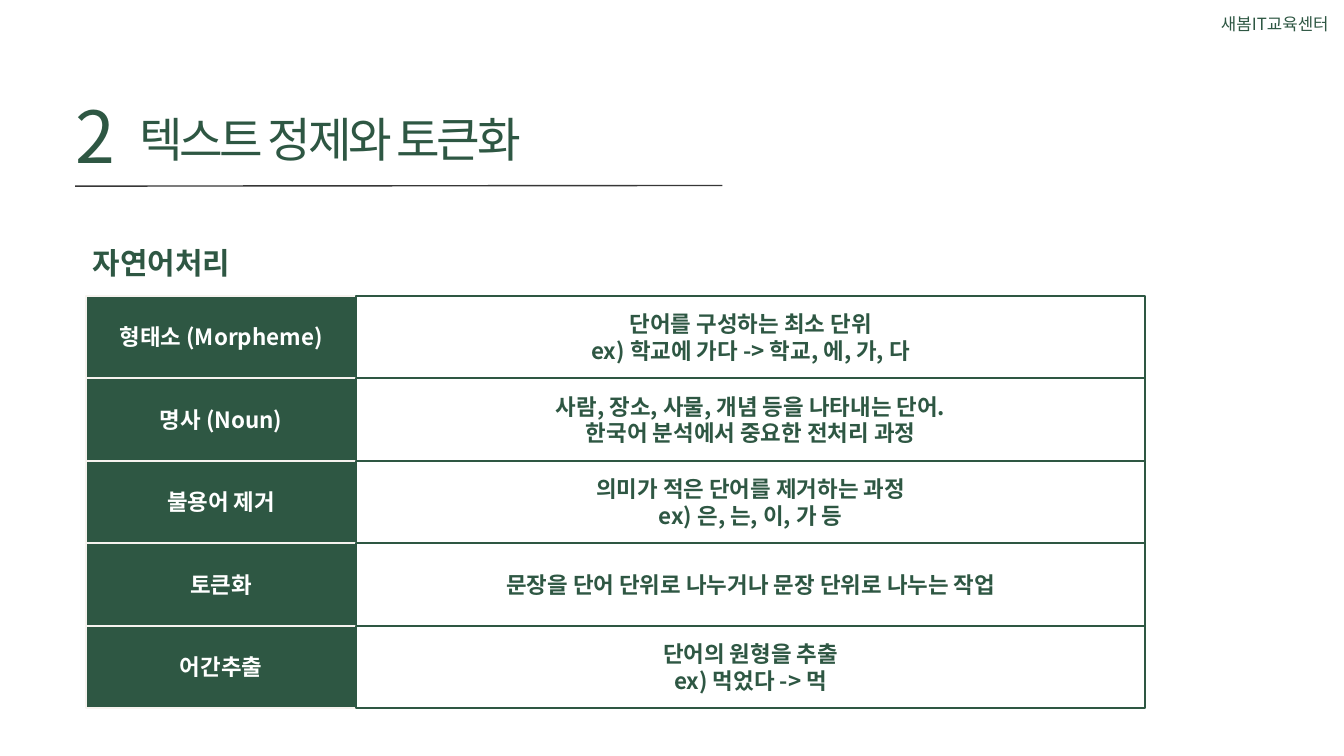
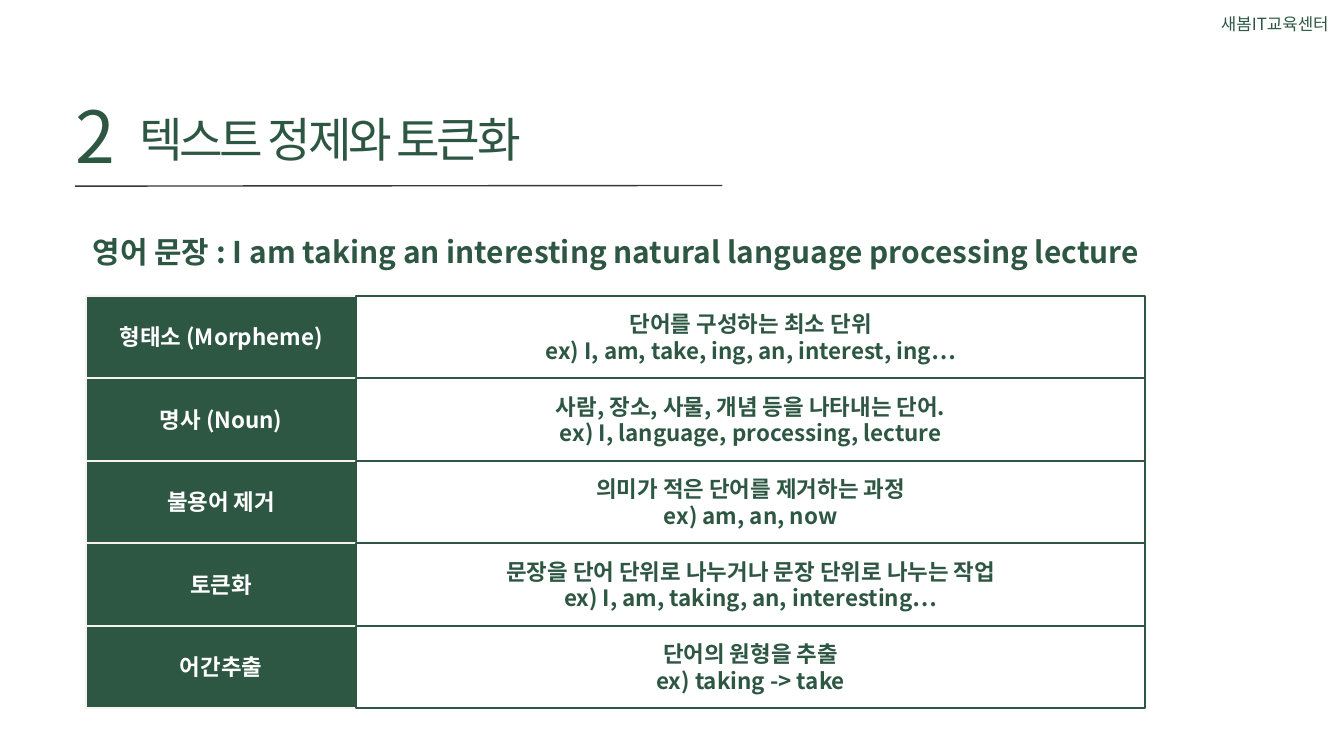
import pptx
import pptx.dml.color
import pptx.enum.shapes
import pptx.enum.text
import pptx.oxml
import pptx.oxml.ns
import pptx.util

RGBColor = pptx.dml.color.RGBColor
GREEN = RGBColor(0x2E, 0x57, 0x43)
CREAM = RGBColor(0xF7, 0xF3, 0xEF)
WHITE = RGBColor(0xFF, 0xFF, 0xFF)
CHARCOAL = RGBColor(0x37, 0x37, 0x37)
FONT = "Noto Sans CJK KR"
ALIGN = pptx.enum.text.PP_ALIGN
ANCHOR = pptx.enum.text.MSO_ANCHOR

# Content
CENTER_NAME = "새봄IT교육센터"
SECTION_NUMBER = "2"
SECTION_TITLE = "텍스트 정제와 토큰화"
# Term and its definition, the same on both slides
TERMS = [
    ("형태소 (Morpheme)", "단어를 구성하는 최소 단위"),
    ("명사 (Noun)", "사람, 장소, 사물, 개념 등을 나타내는 단어."),
    ("불용어 제거", "의미가 적은 단어를 제거하는 과정"),
    ("토큰화", "문장을 단어 단위로 나누거나 문장 단위로 나누는 작업"),
    ("어간추출", "단어의 원형을 추출"),
]
# Heading, its box, and the second line for each term
SLIDES = [
    {
        "heading": "자연어처리",
        "heading_box": (128, 333, 515, 81),
        "examples": [
            "ex) 학교에 가다 -> 학교, 에, 가, 다",
            "한국어 분석에서 중요한 전처리 과정",
            "ex) 은, 는, 이, 가 등",
            None,
            "ex) 먹었다 -> 먹",
        ],
    },
    {
        "heading": "영어 문장 : I am taking an interesting natural language "
                   "processing lecture",
        "heading_box": (128, 316, 1647, 81),
        "examples": [
            "ex) I, am, take, ing, an, interest, ing…",
            "ex) I, language, processing, lecture",
            "ex) am, an, now",
            "ex) I, am, taking, an, interesting…",
            "ex) taking -> take",
        ],
    },
]

# Layout in px, 100 px to the inch
SLIDE_WIDTH, SLIDE_HEIGHT = 2000, 1125
GRID_LEFT, GRID_TOP, GRID_HEIGHT = 128, 440, 614
TERM_WIDTH, DEFINITION_WIDTH = 402, 1174


def px(length):
    return pptx.util.Emu(round(length * 9144))


def write_text(shape, text, size, color=GREEN, bold=False, align=ALIGN.LEFT,
               anchor=ANCHOR.TOP, line_spacing=None, tracking=None, inset=None):
    frame = shape.text_frame
    frame.word_wrap = True
    frame.vertical_anchor = anchor
    if inset is not None:
        frame.margin_left = frame.margin_right = px(inset)
        frame.margin_top = frame.margin_bottom = px(inset)
    for index, line in enumerate(text.split("\n")):
        paragraph = frame.add_paragraph() if index else frame.paragraphs[0]
        paragraph.alignment = align
        if line_spacing:
            paragraph.line_spacing = line_spacing
        run = paragraph.add_run()
        run.text = line
        run.font.name = FONT
        run.font.size = pptx.util.Pt(size)
        run.font.bold = bold
        run.font.color.rgb = color
        properties = run.font._element
        east_asian = pptx.oxml.ns.qn("a:ea")
        properties.append(properties.makeelement(east_asian, {"typeface": FONT}))
        if tracking:
            properties.set("spc", str(round(tracking * 100)))


def add_text(slide, box, text, size, **style):
    shape = slide.shapes.add_textbox(*map(px, box))
    write_text(shape, text, size, **style)
    shape.text_frame.auto_size = pptx.enum.text.MSO_AUTO_SIZE.SHAPE_TO_FIT_TEXT


def add_cell(slide, box, text, fill, line, color):
    cell = slide.shapes.add_shape(
        pptx.enum.shapes.MSO_SHAPE.RECTANGLE, *map(px, box))
    cell.shadow.inherit = False
    cell.fill.solid()
    cell.fill.fore_color.rgb = fill
    cell.line.color.rgb = line
    cell.line.width = pptx.util.Pt(2)
    write_text(cell, text, 24, color=color, bold=True, align=ALIGN.CENTER,
               anchor=ANCHOR.MIDDLE)


def add_frame(slide):
    """Centre name, title rule, section title and number."""
    add_text(slide, (1795, 15, 192, 40), CENTER_NAME, 18, align=ALIGN.RIGHT)
    rule = slide.shapes.add_connector(
        pptx.enum.shapes.MSO_CONNECTOR.STRAIGHT, *map(px, (112, 277, 1075, 276)))
    rule.line.color.rgb = CHARCOAL
    rule.line.width = pptx.util.Pt(1.5)
    properties = rule._element.spPr
    properties.append(properties.makeelement(pptx.oxml.ns.qn("a:effectLst"), {}))
    add_text(slide, (207, 150, 598, 92), SECTION_TITLE, 50.8, inset=0,
             line_spacing=pptx.util.Pt(71.1), tracking=-3.4)
    add_text(slide, (112, 116, 79, 138), SECTION_NUMBER, 76.8, inset=0,
             line_spacing=pptx.util.Pt(107.5), tracking=-5.1)


def add_term_grid(slide, examples):
    row_height = GRID_HEIGHT / len(TERMS)
    for row, ((term, definition), example) in enumerate(zip(TERMS, examples)):
        top = GRID_TOP + row * row_height
        add_cell(slide, (GRID_LEFT, top, TERM_WIDTH, row_height), term,
                 fill=GREEN, line=CREAM, color=WHITE)
        description = f"{definition}\n{example}" if example else definition
        add_cell(slide, (GRID_LEFT + TERM_WIDTH, top, DEFINITION_WIDTH, row_height),
                 description, fill=WHITE, line=GREEN, color=GREEN)


def main():
    presentation = pptx.Presentation()
    presentation.slide_width = px(SLIDE_WIDTH)
    presentation.slide_height = px(SLIDE_HEIGHT)
    for content in SLIDES:
        slide = presentation.slides.add_slide(presentation.slide_layouts[6])
        add_frame(slide)
        add_term_grid(slide, content["examples"])
        add_text(slide, content["heading_box"], content["heading"], 32,
                 bold=True, line_spacing=1.5)
    presentation.save("out.pptx")


if __name__ == "__main__":
    main()
